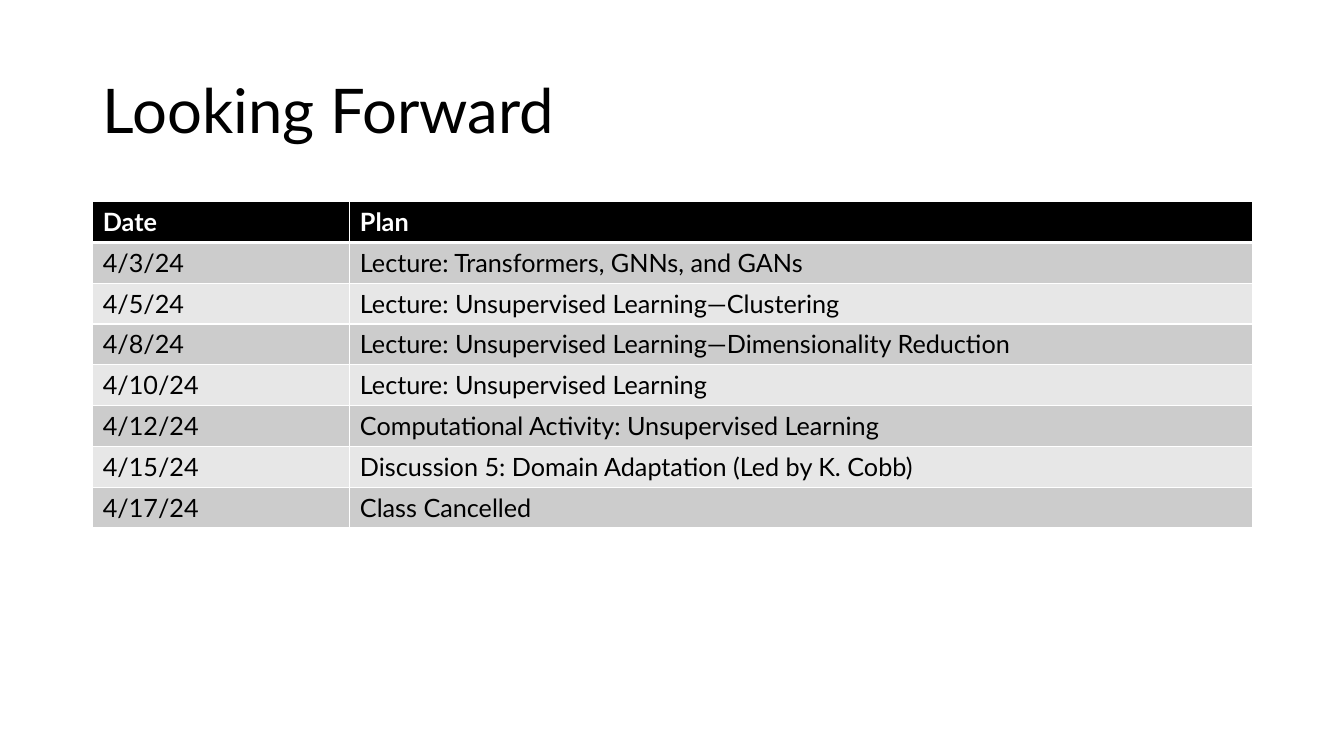
from dataclasses import dataclass

from lxml import etree
from pptx import Presentation
from pptx import util as u
from pptx.dml import color
from pptx.enum import text
from pptx.oxml import ns


@dataclass(frozen=True)
class Theme:
    font: str = "Lato"
    ink: str = "000000"
    paper: str = "FFFFFF"
    bands: tuple = ("CCCCCC", "E7E7E7")
    title_size: int = 44
    table_size: int = 18
    rule: int = 1
    header_rule: int = 3


THEME = Theme()
HEADINGS = ("Date", "Plan")
SCHEDULE = [
    ("4/3/24", "Lecture: Transformers, GNNs, and GANs"),
    ("4/5/24", "Lecture: Unsupervised Learning—Clustering"),
    ("4/8/24", "Lecture: Unsupervised Learning—Dimensionality Reduction"),
    ("4/10/24", "Lecture: Unsupervised Learning"),
    ("4/12/24", "Computational Activity: Unsupervised Learning"),
    ("4/15/24", "Discussion 5: Domain Adaptation (Led by K. Cobb)"),
    ("4/17/24", "Class Cancelled"),
]


def rgb(value):
    return color.RGBColor.from_string(value)


def style_runs(paragraph, size, ink, bold=False):
    for run in paragraph.runs:
        run.font.name = THEME.font
        run.font.size = u.Pt(size)
        run.font.bold = bold
        run.font.color.rgb = rgb(ink)


def add_rules(cell, **widths):
    properties = cell._tc.get_or_add_tcPr()
    for side in "LRTB":
        width = u.Pt(widths.get(side, THEME.rule))
        rule = etree.SubElement(properties, ns.qn(f"a:ln{side}"), w=str(width))
        fill = etree.SubElement(rule, ns.qn("a:solidFill"))
        etree.SubElement(fill, ns.qn("a:srgbClr"), val=THEME.paper)


def place_title(slide, wording, left, top, width, height):
    title = slide.shapes.title
    title.left, title.top = u.Inches(left), u.Inches(top)
    title.width, title.height = u.Inches(width), u.Inches(height)
    frame = title.text_frame
    frame.text = wording
    frame.word_wrap = True
    frame.auto_size = text.MSO_AUTO_SIZE.NONE
    frame.vertical_anchor = text.MSO_ANCHOR.MIDDLE
    heading = frame.paragraphs[0]
    heading.alignment = text.PP_ALIGN.LEFT
    heading.line_spacing = 0.9
    style_runs(heading, THEME.title_size, THEME.ink)


def format_schedule_cell(cell, wording, row):
    is_header = row == 0
    if is_header:
        add_rules(cell, B=THEME.header_rule)
    elif row == 1:
        add_rules(cell, T=THEME.header_rule)
    else:
        add_rules(cell)
    cell.fill.solid()
    cell.fill.fore_color.rgb = rgb(
        THEME.ink if is_header else THEME.bands[(row - 1) % len(THEME.bands)])
    cell.text_frame.text = wording
    style_runs(cell.text_frame.paragraphs[0], THEME.table_size,
               THEME.paper if is_header else THEME.ink, is_header)


def place_schedule(slide, left, top, width, height, date_width):
    entries = [HEADINGS, *SCHEDULE]
    schedule = slide.shapes.add_table(
        len(entries), len(HEADINGS), u.Inches(left), u.Inches(top),
        u.Inches(width), u.Inches(height)).table
    for column, column_width in zip(schedule.columns, (date_width, width - date_width)):
        column.width = u.Inches(column_width)
    for row, entry in enumerate(entries):
        for column, wording in enumerate(entry):
            format_schedule_cell(schedule.cell(row, column), wording, row)


def main():
    deck = Presentation()
    deck.slide_width, deck.slide_height = u.Inches(13.33), u.Inches(7.5)
    slide = deck.slides.add_slide(deck.slide_layouts.get_by_name("Title Only"))
    left, width = 0.92, 11.5
    place_title(slide, "Looking Forward", left, 0.4, width, 1.45)
    place_schedule(slide, left, 2, width, 3.24, date_width=2.55)
    deck.save("out.pptx")


if __name__ == "__main__":
    main()
